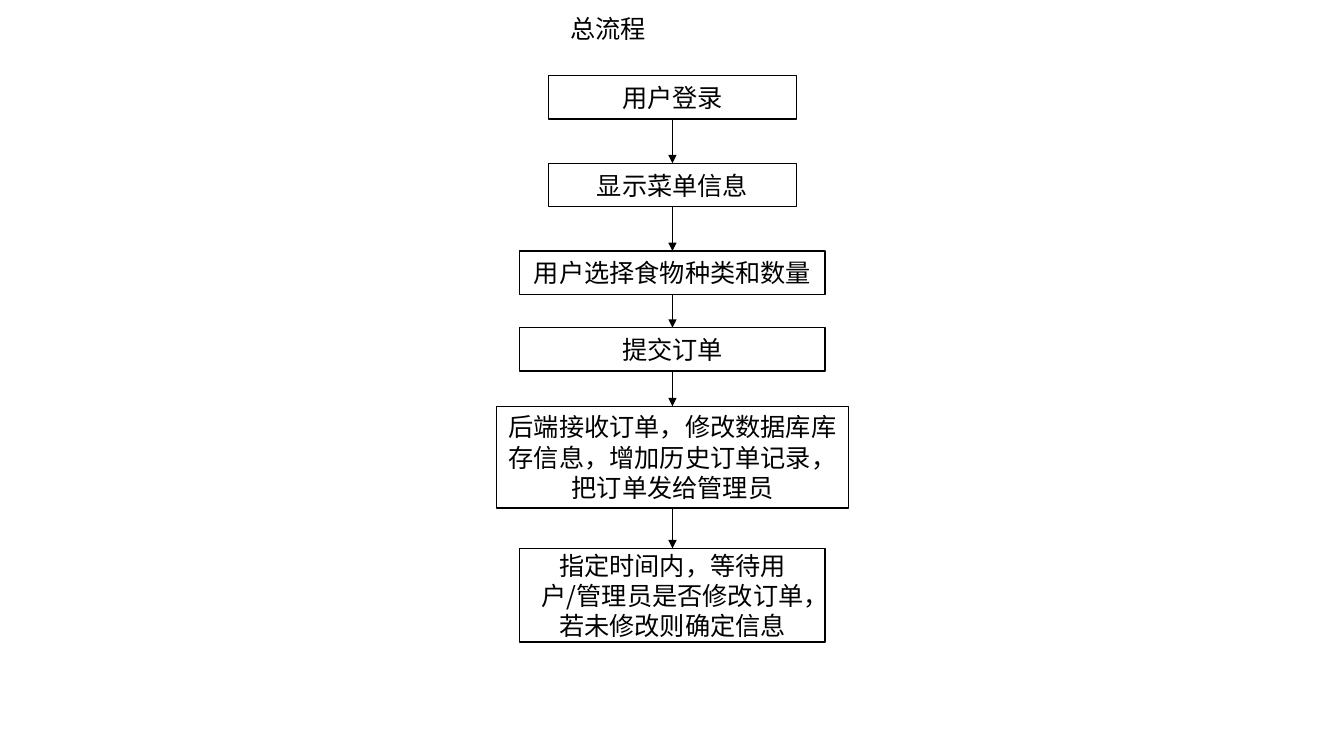
from dataclasses import dataclass
from itertools import pairwise

from lxml.etree import SubElement
from pptx import Presentation
from pptx.dml.color import RGBColor
from pptx.enum.lang import MSO_LANGUAGE_ID as Language
from pptx.enum.shapes import MSO_CONNECTOR as Connector, MSO_SHAPE as Preset
from pptx.enum.text import MSO_ANCHOR as Anchor, MSO_AUTO_SIZE as AutoSize, PP_ALIGN as Align
from pptx.oxml.ns import qn
from pptx.shapes.autoshape import Shape
from pptx.slide import Slide
from pptx.text.text import TextFrame
from pptx.util import Inches, Pt

BLACK = RGBColor(0x00, 0x00, 0x00)
WHITE = RGBColor(0xFF, 0xFF, 0xFF)
FONT = "Noto Sans CJK SC"
CENTER_X = 6.67
BOTTOM_SITE, TOP_SITE = 2, 0


@dataclass(frozen=True)
class Step:
    text: str
    top: float
    width: float
    height: float = 0.43


STEPS = (
    Step("用户登录", 0.75, 2.46),
    Step("显示菜单信息", 1.62, 2.46),
    Step("用户选择食物种类和数量", 2.49, 3.03),
    Step("提交订单", 3.25, 3.03),
    Step("后端接收订单，修改数据库库存信息，增加历史订单记录，把订单发给管理员", 4.03, 3.49, 1.01),
    Step("指定时间内，等待用户/管理员是否修改订单，若未修改则确定信息", 5.44, 3.03, 0.93),
)


def write_text(frame: TextFrame, text: str, align: Align) -> None:
    frame.word_wrap = True
    para = frame.paragraphs[0]
    para.alignment = align
    span = para.add_run()
    span.text = text
    span.font.size = Pt(18)
    span.font.color.rgb = BLACK
    span.font.name = FONT
    span.font.language_id = Language.SIMPLIFIED_CHINESE
    SubElement(span._r.get_or_add_rPr(), qn("a:ea"), typeface=FONT)


def add_title(page: Slide, text: str) -> None:
    box = page.shapes.add_textbox(Inches(5.56), Inches(0.08), Inches(1.74), Inches(0.4))
    write_text(box.text_frame, text, Align.LEFT)
    box.text_frame.auto_size = AutoSize.SHAPE_TO_FIT_TEXT


def add_step(page: Slide, step: Step) -> Shape:
    box = page.shapes.add_shape(
        Preset.RECTANGLE,
        Inches(CENTER_X - step.width / 2),
        Inches(step.top),
        Inches(step.width),
        Inches(step.height),
    )
    box.shadow.inherit = False
    box.fill.solid()
    box.fill.fore_color.rgb = WHITE
    box.line.color.rgb = BLACK
    box.line.width = Pt(1)
    box.text_frame.vertical_anchor = Anchor.MIDDLE
    write_text(box.text_frame, step.text, Align.CENTER)
    return box


def add_arrow(page: Slide, upper: Shape, lower: Shape) -> None:
    arrow = page.shapes.add_connector(Connector.STRAIGHT, 0, 0, 0, 0)
    arrow.begin_connect(upper, BOTTOM_SITE)
    arrow.end_connect(lower, TOP_SITE)
    arrow.line.color.rgb = BLACK
    arrow.line.width = Pt(0.5)
    SubElement(arrow.line._get_or_add_ln(), qn("a:tailEnd"), type="triangle")
    SubElement(arrow._element.spPr, qn("a:effectLst"))


def main() -> None:
    deck = Presentation()
    deck.slide_width = Inches(13.33)
    deck.slide_height = Inches(7.5)
    page = deck.slides.add_slide(deck.slide_layouts[6])
    boxes = [add_step(page, step) for step in STEPS]
    for upper, lower in pairwise(boxes):
        add_arrow(page, upper, lower)
    add_title(page, "总流程")
    deck.save("out.pptx")


if __name__ == "__main__":
    main()
